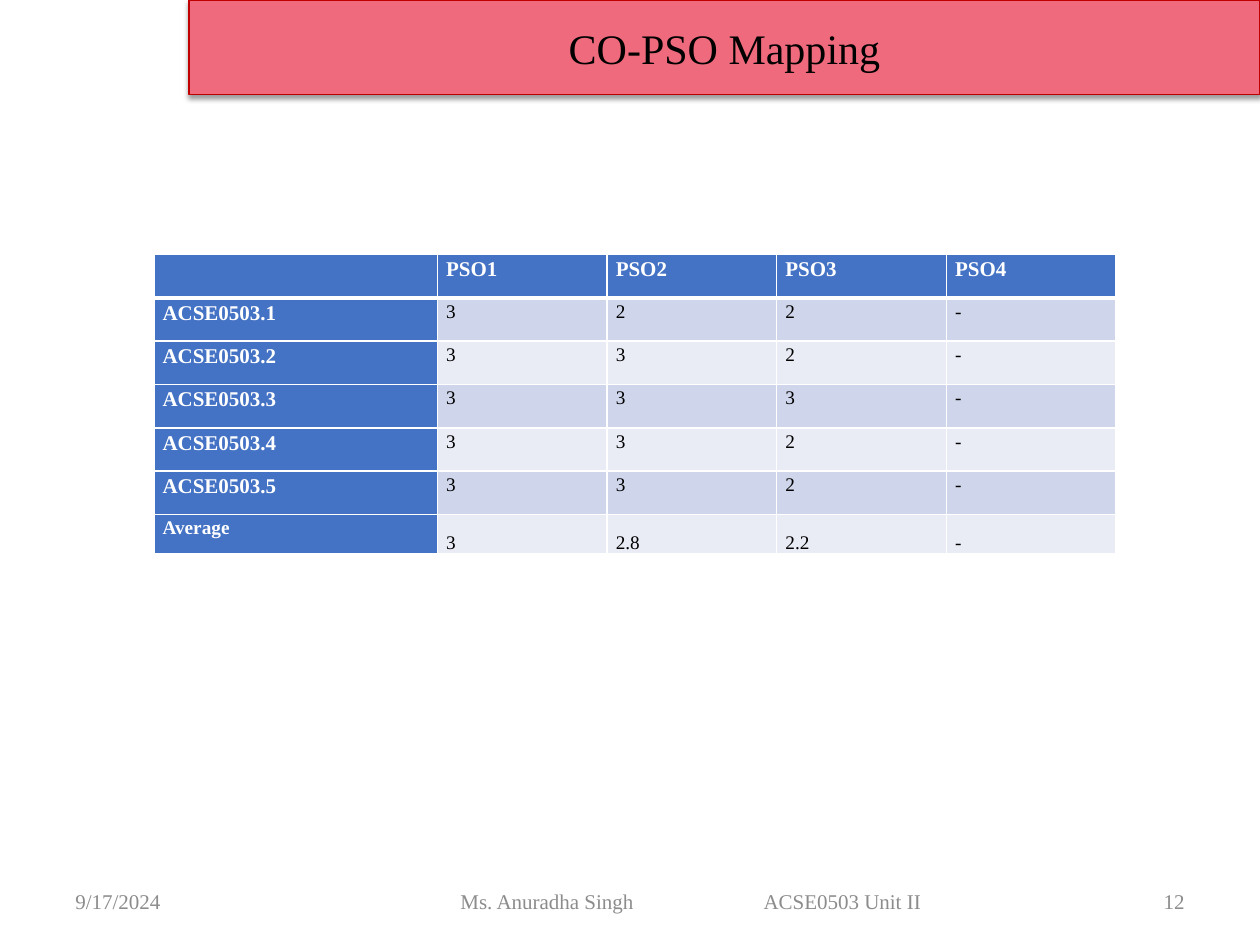
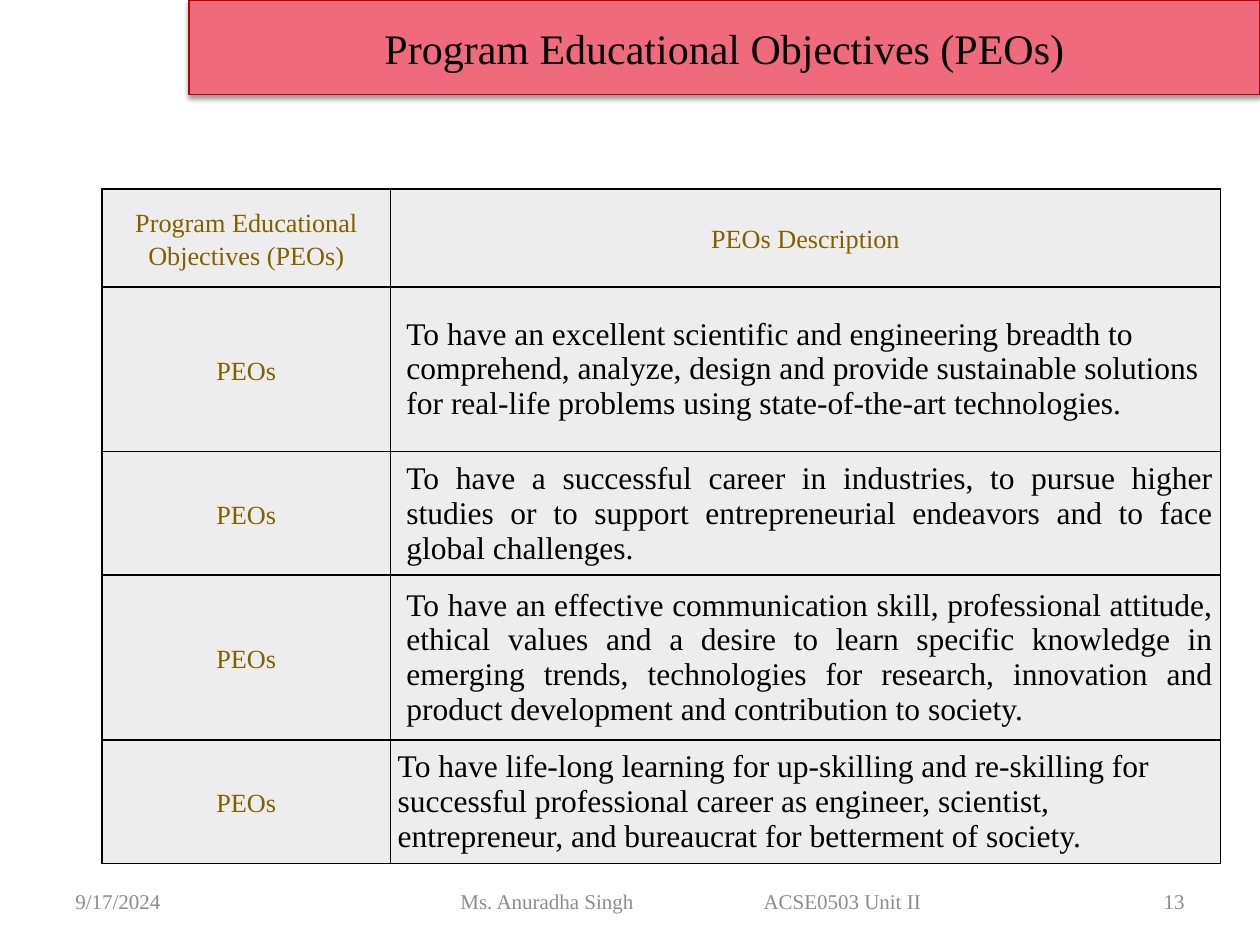
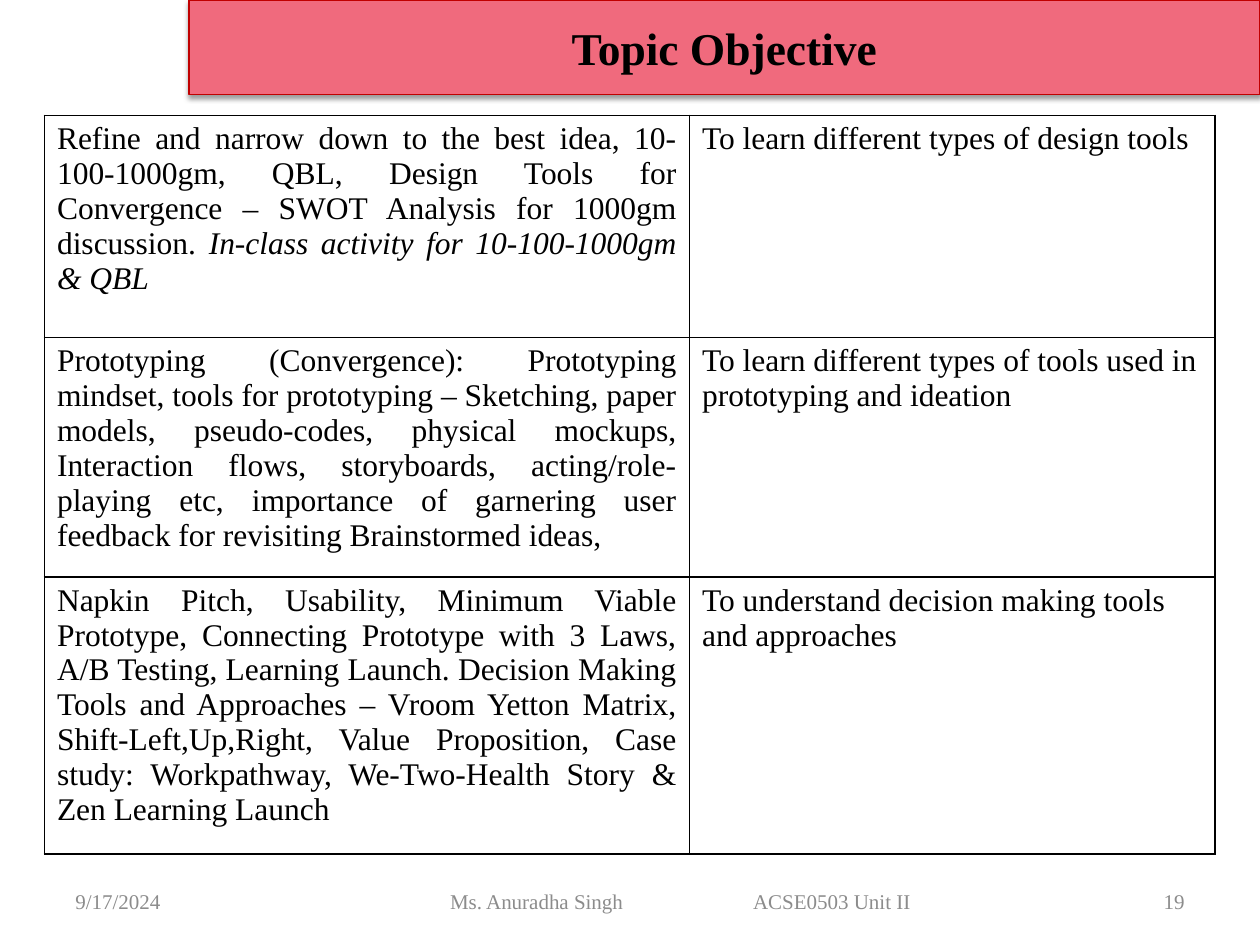
from lxml import etree
from pptx import Presentation
from pptx.dml.color import RGBColor
from pptx.enum.text import MSO_ANCHOR, PP_ALIGN
from pptx.oxml.ns import qn
from pptx.util import Pt

LEFT, CENTER, RIGHT, JUSTIFY = PP_ALIGN.LEFT, PP_ALIGN.CENTER, PP_ALIGN.RIGHT, PP_ALIGN.JUSTIFY
TOP, MIDDLE, BOTTOM = MSO_ANCHOR.TOP, MSO_ANCHOR.MIDDLE, MSO_ANCHOR.BOTTOM

FONT = "Times New Roman"
BLACK, WHITE, GREY = "000000", "FFFFFF", "8C8C8C"
BAND_FILL, BAND_LINE = "F06A7D", "C00000"
HEADER_BLUE, BANDS = "4472C4", ("CFD5EA", "E9EBF5")
GOLD, PALE_GREY = "806000", "EDEDED"

SLIDE_W, SLIDE_H = 720, 540
TITLE_BOX = (108, 0, 612, 54)
FOOTER_TOP, FOOTER_H = 500.4, 28.8
AUTHOR, UNIT = "Ms. Anuradha Singh", "ACSE0503 Unit II"
CREDIT_W, UNIT_TAB = 265.7, 173.2

PSO_RATINGS = [
    ("ACSE0503.1", "3", "2", "2", "-"),
    ("ACSE0503.2", "3", "3", "2", "-"),
    ("ACSE0503.3", "3", "3", "3", "-"),
    ("ACSE0503.4", "3", "3", "2", "-"),
    ("ACSE0503.5", "3", "3", "2", "-"),
    ("Average", "3", "2.8", "2.2", "-"),
]

# Description, alignment, indent
PEO_DESCRIPTIONS = [
    ("To have an excellent scientific and engineering breadth to comprehend, analyze, design "
     "and provide sustainable solutions for real-life problems using state-of-the-art "
     "technologies.", LEFT, 5),
    ("To have a successful career in industries, to pursue higher studies or to support "
     "entrepreneurial endeavors and to face global challenges.", JUSTIFY, 5),
    ("To have an effective communication skill, professional attitude, ethical values and a "
     "desire to learn specific knowledge in emerging trends, technologies for research, "
     "innovation and product development and contribution to society.", JUSTIFY, 5),
    ("To have life-long learning for up-skilling and re-skilling for successful professional "
     "career as engineer, scientist, entrepreneur, and bureaucrat for betterment of society.",
     LEFT, 0),
]

# Topic, in-class activity, objective
TOPICS = [
    ("Refine and narrow down to the best idea, 10-100-1000gm, QBL, Design Tools for "
     "Convergence – SWOT Analysis for 1000gm discussion. ",
     "In-class activity for 10-100-1000gm & QBL",
     "To learn different types of design tools"),
    ("Prototyping (Convergence): Prototyping mindset, tools for prototyping – Sketching, paper "
     "models, pseudo-codes, physical mockups, Interaction flows, storyboards, "
     "acting/role-playing etc, importance of garnering user feedback for revisiting "
     "Brainstormed ideas,", "",
     "To learn different types of tools used in prototyping and ideation"),
    ("Napkin Pitch, Usability, Minimum Viable Prototype, Connecting Prototype with 3 Laws, A/B "
     "Testing, Learning Launch. Decision Making Tools and Approaches – Vroom Yetton Matrix, "
     "Shift-Left,Up,Right, Value Proposition, Case study: Workpathway, We-Two-Health Story & "
     "Zen Learning Launch", "",
     "To understand decision making tools and approaches"),
]


def rgb(hex_color):
    return RGBColor.from_string(hex_color)


def add_xml(parent, tag, **attributes):
    return etree.SubElement(parent, qn(tag), {k: str(v) for k, v in attributes.items()})


def write(frame, text, size=12, color=BLACK, bold=False, align=LEFT, anchor=MIDDLE,
          spacing=None, indent=0, tab=None, italic_tail=""):
    """Fill the frame with one paragraph, optionally ending in an italic run."""
    frame.word_wrap = True
    frame.vertical_anchor = anchor
    paragraph = frame.paragraphs[0]
    properties = paragraph._p.get_or_add_pPr()
    if indent:
        properties.set("marL", str(Pt(indent)))
    if tab:
        add_xml(add_xml(properties, "a:tabLst"), "a:tab", pos=Pt(tab), algn="l")
    paragraph.alignment = align
    if spacing:
        paragraph.line_spacing = spacing
    for part, italic in ((text, False), (italic_tail, True)):
        if part:
            run = paragraph.add_run()
            run.text = part
            run.font.name, run.font.size = FONT, Pt(size)
            run.font.bold, run.font.italic = bold, italic
            run.font.color.rgb = rgb(color)


def add_title(slide, text, **text_format):
    title = slide.shapes.title
    title.left, title.top, title.width, title.height = map(Pt, TITLE_BOX)
    title.fill.solid()
    title.fill.fore_color.rgb = rgb(BAND_FILL)
    title.line.color.rgb = rgb(BAND_LINE)
    title.line.width = Pt(0.75)
    title.shadow.inherit = False
    effects = title._element.spPr.find(qn("a:effectLst"))
    shadow = add_xml(effects, "a:outerShdw", blurRad=Pt(3.1), dist=Pt(1.6),
                     dir=90 * 60000, algn="t", rotWithShape=0)
    add_xml(add_xml(shadow, "a:srgbClr", val=BLACK), "a:alpha", val=38000)
    write(title.text_frame, text, align=CENTER, **text_format)


def add_footer_text(slide, left, width, text, margin=7.2, **text_format):
    box = slide.shapes.add_textbox(Pt(left), Pt(FOOTER_TOP), Pt(width), Pt(FOOTER_H))
    box.text_frame.margin_left = Pt(margin)
    write(box.text_frame, text, color=GREY, **text_format)


def add_footer(slide, number, credit_left=198):
    add_footer_text(slide, 36, 168, "9/17/2024")
    credit_box_w = 594 - credit_left
    add_footer_text(slide, credit_left, credit_box_w, f"{AUTHOR}\t{UNIT}",
                    margin=(credit_box_w - CREDIT_W) / 2, tab=UNIT_TAB)
    add_footer_text(slide, 516, 168, str(number), align=RIGHT)


def start_slide(deck, title, number, size=24, bold=False, **footer_format):
    slide = deck.slides.add_slide(deck.slide_layouts[5])
    add_title(slide, title, size=size, bold=bold)
    add_footer(slide, number, **footer_format)
    return slide


def add_grid(slide, left, top, col_widths, row_heights):
    """Add an unbanded table with the given column widths and row heights."""
    table = slide.shapes.add_table(len(row_heights), len(col_widths), Pt(left), Pt(top),
                                   Pt(sum(col_widths)), Pt(sum(row_heights))).table
    table.first_row = table.horz_banding = False
    for column, width in zip(table.columns, col_widths):
        column.width = Pt(width)
    for row, height in zip(table.rows, row_heights):
        row.height = Pt(height)
    return table


def set_borders(cell, color, **widths):
    """Draw all four edges, 1 pt unless a width is given for L, R, T or B."""
    properties = cell._tc.get_or_add_tcPr()
    for edge in "LRTB":
        line = add_xml(properties, f"a:ln{edge}", w=Pt(widths.get(edge, 1)))
        add_xml(add_xml(line, "a:solidFill"), "a:srgbClr", val=color)


def fill_cell(cell, text, fill=None, border=BLACK, edges=None, insets=(7.2, 3.6),
              anchor=TOP, **text_format):
    set_borders(cell, border, **(edges or {}))
    if fill:
        cell.fill.solid()
        cell.fill.fore_color.rgb = rgb(fill)
    else:
        cell.fill.background()
    cell.margin_left = cell.margin_right = Pt(insets[0])
    cell.margin_top = cell.margin_bottom = Pt(insets[1])
    cell.vertical_anchor = anchor
    write(cell.text_frame, text, anchor=anchor, **text_format)


def build_pso_mapping(deck):
    slide = start_slide(deck, "CO-PSO Mapping", 12)
    table = add_grid(slide, 87.9, 145.5, [162] + [97] * 4, [24.75] * 6 + [22.5])
    shared = dict(border=WHITE, insets=(5, 0), spacing=1.15)
    label = dict(shared, fill=HEADER_BLUE, color=WHITE, bold=True)
    for col, heading in enumerate(["", "PSO1", "PSO2", "PSO3", "PSO4"]):
        fill_cell(table.cell(0, col), heading, edges={"B": 3}, align=JUSTIFY, **label)
    for row, (outcome, *ratings) in enumerate(PSO_RATINGS, start=1):
        is_average = outcome == "Average"
        edges = {"T": 3} if row == 1 else None
        fill_cell(table.cell(row, 0), outcome, edges=edges,
                  size=11 if is_average else 12, **label)
        for col, rating in enumerate(ratings, start=1):
            fill_cell(table.cell(row, col), rating, edges=edges, size=11,
                      fill=BANDS[(row - 1) % 2],
                      anchor=BOTTOM if is_average else TOP, **shared)


def build_peos(deck):
    slide = start_slide(deck, "Program Educational Objectives (PEOs)", 13)
    table = add_grid(slide, 58.4, 108, [164.7, 474.3], [55.9, 94.2, 70.6, 94.2, 70.6])
    shared = dict(fill=PALE_GREY, insets=(4.2, 0), anchor=MIDDLE)
    label = dict(shared, size=15, color=GOLD, align=CENTER, spacing=1.15)
    fill_cell(table.cell(0, 0), "Program Educational Objectives (PEOs)", **label)
    fill_cell(table.cell(0, 1), "PEOs Description", **label)
    for row, (description, align, indent) in enumerate(PEO_DESCRIPTIONS, start=1):
        fill_cell(table.cell(row, 0), "PEOs", **label)
        fill_cell(table.cell(row, 1), description, size=18, align=align, indent=indent, **shared)


def build_topic_objective(deck):
    slide = start_slide(deck, "Topic Objective", 19, size=26, bold=True, credit_left=186)
    table = add_grid(slide, 25.4, 66, [368.6, 300.4], [126.8, 126.8, 146.9])
    for row, (topic, activity, objective) in enumerate(TOPICS):
        fill_cell(table.cell(row, 0), topic, size=18, align=JUSTIFY, italic_tail=activity)
        fill_cell(table.cell(row, 1), objective, size=18)


def main():
    deck = Presentation()
    deck.slide_width, deck.slide_height = Pt(SLIDE_W), Pt(SLIDE_H)
    build_pso_mapping(deck)
    build_peos(deck)
    build_topic_objective(deck)
    deck.save("out.pptx")


if __name__ == "__main__":
    main()
